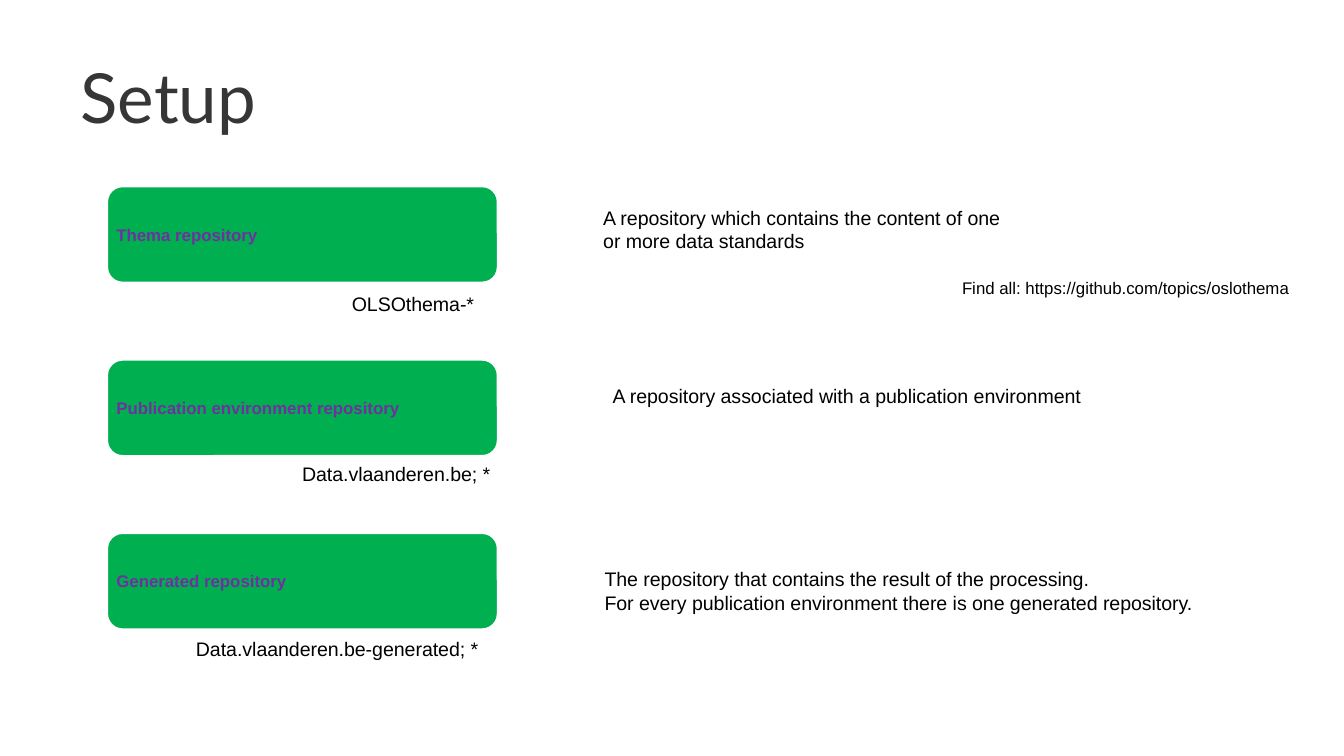
from pptx import Presentation
from pptx.dml.color import RGBColor
from pptx.enum.shapes import MSO_SHAPE
from pptx.enum.text import MSO_ANCHOR, MSO_AUTO_SIZE, PP_ALIGN
from pptx.util import Inches, Pt

COLORS = {"background": "FFFFFF", "title": "373636", "text": "000000",
          "box": "00B050", "border": "FFFFFF", "label": "7030A0"}


def add_text(tf, text, size=10.5, font="Arial", color="text", bold=False,
             inset=None, anchor=MSO_ANCHOR.TOP, wrap=True, spacing=None):
    tf.word_wrap = wrap
    tf.vertical_anchor = anchor
    if inset is not None:
        tf.margin_left = tf.margin_right = Inches(inset)
        tf.margin_top = tf.margin_bottom = Inches(inset)
    for i, line in enumerate(text.split("\n")):
        p = tf.paragraphs[0] if i == 0 else tf.add_paragraph()
        p.alignment = PP_ALIGN.LEFT
        if spacing:
            p.line_spacing = spacing
        r = p.add_run()
        r.text = line
        r.font.name = font
        r.font.size = Pt(size)
        r.font.bold = bold
        r.font.color.rgb = RGBColor.from_string(COLORS[color])


# Widescreen slide, 16:9
prs = Presentation()
prs.slide_width = Inches(10)
prs.slide_height = Inches(10 * 9 / 16)
s = prs.slides.add_slide(prs.slide_layouts[5])
s.background.fill.solid()
s.background.fill.fore_color.rgb = RGBColor.from_string(COLORS["background"])

# Title
title = s.shapes.title
title.left, title.top = Inches(0.5), Inches(0.29)
title.width, title.height = Inches(8.11), Inches(0.92)
title.text_frame.auto_size = MSO_AUTO_SIZE.NONE
add_text(title.text_frame, "Setup", size=37, font="Lato", color="title",
         inset=0.1, spacing=1.03)

# Repository boxes, evenly spaced
labels = ["Thema repository", "Publication environment repository",
          "Generated repository"]
for i, label in enumerate(labels):
    sp = s.shapes.add_shape(MSO_SHAPE.ROUNDED_RECTANGLE, Inches(0.79),
                            Inches(1.38 + i * 1.29), Inches(2.92), Inches(0.73))
    sp.shadow.inherit = False
    sp.fill.solid()
    sp.fill.fore_color.rgb = RGBColor.from_string(COLORS["box"])
    sp.line.color.rgb = RGBColor.from_string(COLORS["border"])
    sp.line.width = Pt(2)
    add_text(sp.text_frame, label, size=9, color="label", bold=True,
             inset=0.04, anchor=MSO_ANCHOR.MIDDLE)

# Descriptions, repository names and link: left, top, width, height, size, wrap
notes = [
    (4.39, 1.48, 3.23, 0.45, 10.5, True,
     "A repository which contains the content of one or more data standards"),
    (4.46, 2.81, 3.76, 0.28, 10.5, False,
     "A repository associated with a publication environment"),
    (4.4, 4.17, 4.67, 0.45, 10.5, False,
     "The repository that contains the result of the processing.\n"
     "For every publication environment there is one generated repository."),
    (2.52, 2.12, 1.13, 0.28, 10.5, False, "OLSOthema-*"),
    (2.15, 3.39, 1.63, 0.28, 10.5, False, "Data.vlaanderen.be; *"),
    (1.36, 4.69, 2.35, 0.28, 10.5, False, "Data.vlaanderen.be-generated; *"),
    (7.06, 2.02, 2.66, 0.25, 9, False,
     "Find all: https://github.com/topics/oslothema"),
]
for left, top, width, height, size, wrap, text in notes:
    tb = s.shapes.add_textbox(Inches(left), Inches(top), Inches(width), Inches(height))
    tb.text_frame.auto_size = MSO_AUTO_SIZE.SHAPE_TO_FIT_TEXT
    add_text(tb.text_frame, text, size=size, wrap=wrap)

prs.save("out.pptx")
